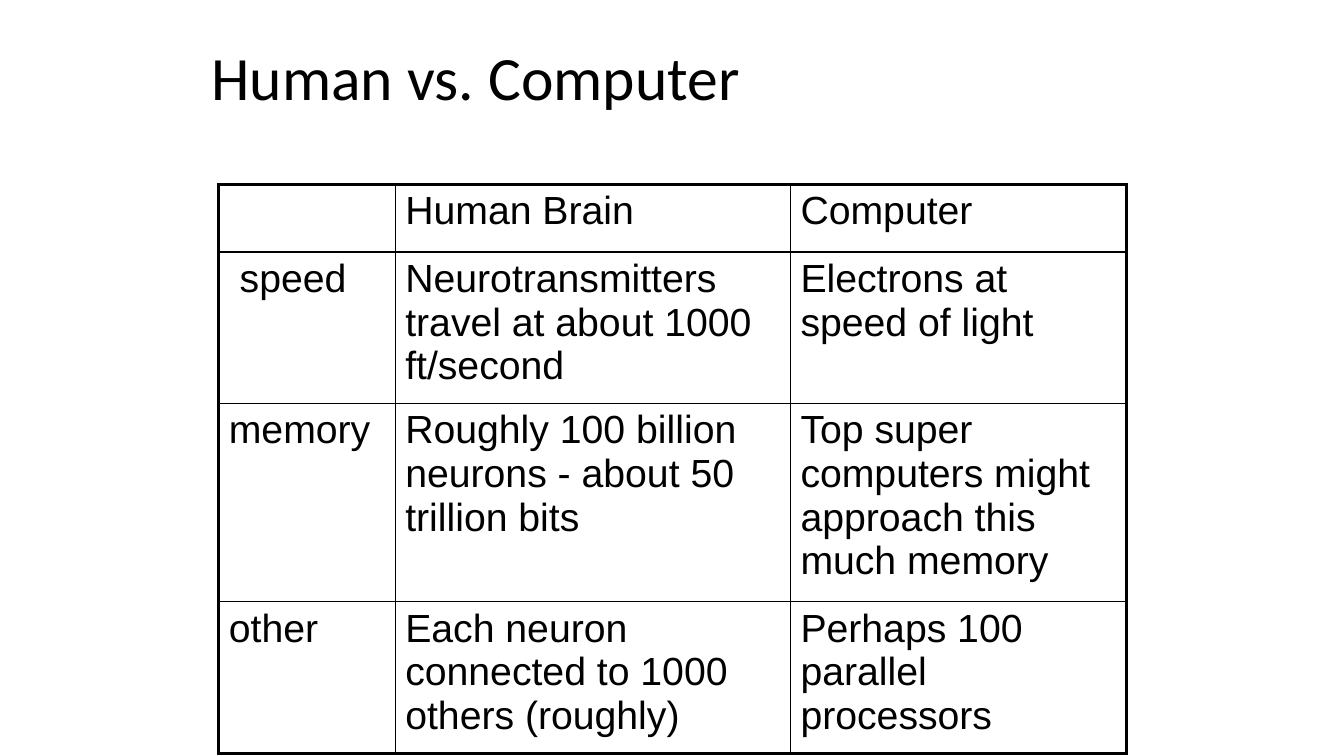
import lxml.etree
import pptx
import pptx.dml.color
import pptx.enum.text
import pptx.oxml.ns
import pptx.util

BLACK = pptx.dml.color.RGBColor(0, 0, 0)
SLIDE_SIZE = (13.33, 7.5)
OUTER_WIDTH, INNER_WIDTH = 2.25, 1
COLUMN_WIDTHS = (1.75, 3.92, 3.33)
ROW_HEIGHTS = (0.67, 1.5, 1.97, 1.5)
COMPARISON = (
    ("", "Human Brain", "Computer"),
    (" speed", "Neurotransmitters travel at about 1000 ft/second",
     "Electrons at speed of light"),
    ("memory", "Roughly 100 billion neurons - about 50 trillion bits",
     "Top super computers might approach this much memory"),
    ("other", "Each neuron connected to 1000 others (roughly)",
     "Perhaps 100 parallel processors"),
)


def inches(lengths):
    """Convert a sequence of inch values to slide lengths."""
    return [pptx.util.Inches(length) for length in lengths]


def add_words(paragraph, words, font_name, size):
    """Add one black run to a paragraph."""
    run = paragraph.add_run()
    run.text = words
    run.font.name = font_name
    run.font.size = pptx.util.Pt(size)
    run.font.color.rgb = BLACK


def add_heading(slide, box, words):
    """Place the slide heading, vertically centred in its box."""
    frame = slide.shapes.add_textbox(*inches(box)).text_frame
    frame.word_wrap = True
    frame.vertical_anchor = pptx.enum.text.MSO_ANCHOR.MIDDLE
    frame.paragraphs[0].line_spacing = 0.9
    add_words(frame.paragraphs[0], words, "Calibri", 44)


def draw_borders(cell, outer_sides):
    """Rule all four sides of a cell, heavier where it meets the table edge."""
    properties = cell._tc.get_or_add_tcPr()
    qn = pptx.oxml.ns.qn
    for side, is_outer in outer_sides.items():
        width = OUTER_WIDTH if is_outer else INNER_WIDTH
        line = lxml.etree.SubElement(
            properties, qn("a:ln" + side), w=str(pptx.util.Pt(width)))
        fill = lxml.etree.SubElement(line, qn("a:solidFill"))
        lxml.etree.SubElement(fill, qn("a:srgbClr"), val=str(BLACK))


def add_comparison(slide, left, top):
    """Place the comparison table with its top left corner at a point."""
    box = (left, top, sum(COLUMN_WIDTHS), sum(ROW_HEIGHTS))
    last_row, last_column = len(ROW_HEIGHTS) - 1, len(COLUMN_WIDTHS) - 1
    table = slide.shapes.add_table(
        last_row + 1, last_column + 1, *inches(box)).table
    table.first_row = False
    table.horz_banding = False
    for column, width in zip(table.columns, inches(COLUMN_WIDTHS)):
        column.width = width
    for row, height in zip(table.rows, inches(ROW_HEIGHTS)):
        row.height = height
    for r, entries in enumerate(COMPARISON):
        for c, entry in enumerate(entries):
            cell = table.cell(r, c)
            draw_borders(cell, {"L": c == 0, "R": c == last_column,
                                "T": r == 0, "B": r == last_row})
            cell.fill.background()
            if entry:
                add_words(cell.text_frame.paragraphs[0], entry, "Arial", 28)


def main():
    """Build and save the slide."""
    deck = pptx.Presentation()
    deck.slide_width, deck.slide_height = inches(SLIDE_SIZE)
    slide = deck.slides.add_slide(deck.slide_layouts[6])
    add_heading(slide, (2, 0.17, 11, 1.25), "Human vs. Computer")
    add_comparison(slide, 2.17, 1.83)
    deck.save("out.pptx")


if __name__ == "__main__":
    main()
